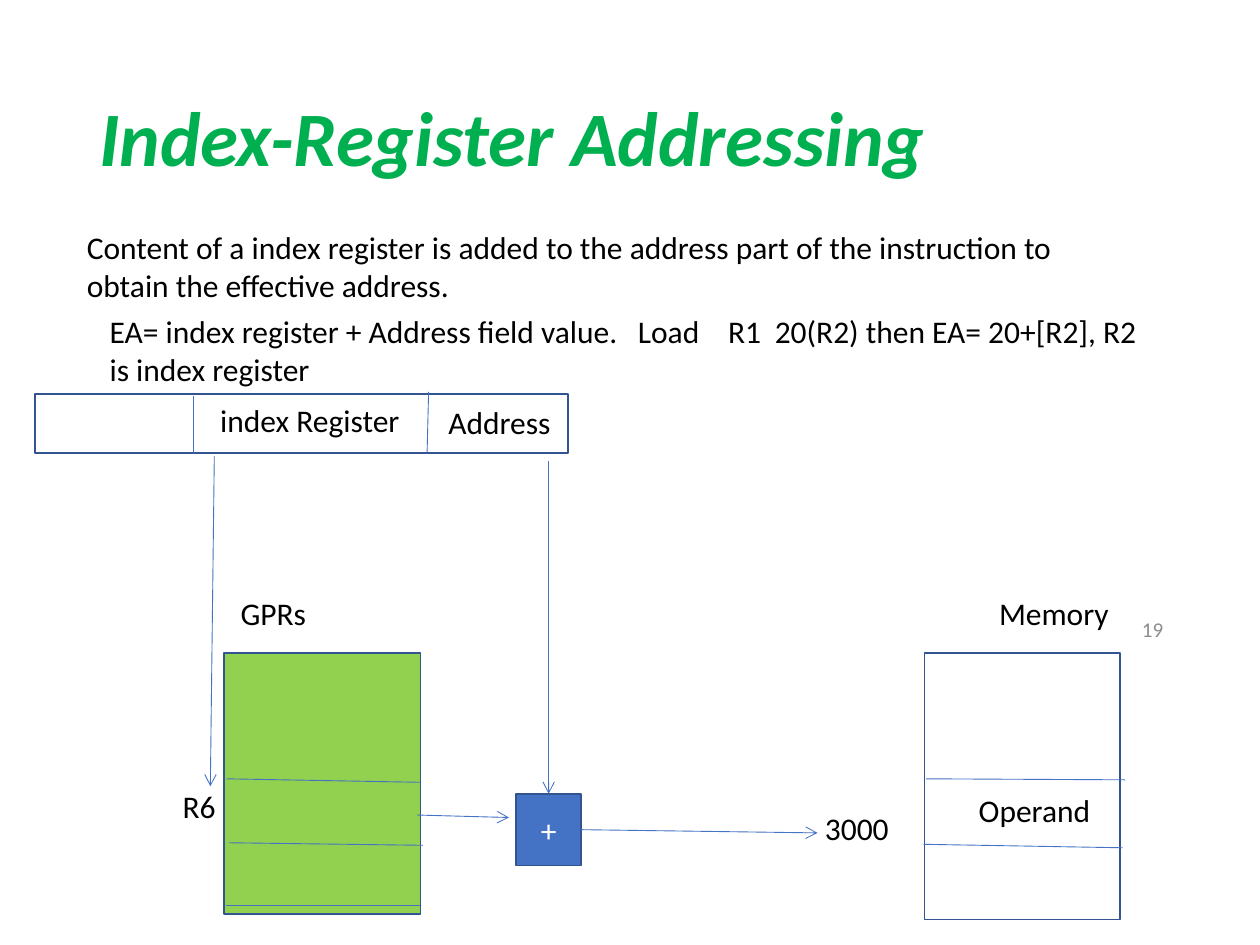
import pptx
import pptx.dml.color
import pptx.enum.shapes
import pptx.enum.text
import pptx.oxml.ns
import pptx.util
from lxml import etree
from pptx.util import Cm

COLORS = {
    "title": "00B050", "text": "000000", "number": "8C8C8C", "white": "FFFFFF",
    "registers": "92D050", "adder": "4472C4", "outline": "325491", "line": "4472C4",
}
ALIGN = pptx.enum.text.PP_ALIGN
ANCHOR = pptx.enum.text.MSO_ANCHOR
TOP_SIDE, RIGHT_SIDE = 0, 3


def rgb(name):
    return pptx.dml.color.RGBColor.from_string(COLORS[name])


def sub(parent, tag, **attributes):
    return etree.SubElement(parent, pptx.oxml.ns.qn(tag), **attributes)


class Diagram:
    font = "Calibri"

    def __init__(self, slide):
        self.slide = slide

    def add_words(self, frame, words, size=18, color="text", align=ALIGN.LEFT,
                  anchor=ANCHOR.TOP, bold=False, italic=False, tabs=()):
        frame.vertical_anchor = anchor
        paragraph = frame.paragraphs[0]
        paragraph.alignment = align
        if tabs:
            stops = sub(paragraph._p.get_or_add_pPr(), "a:tabLst")
            for stop in tabs:
                sub(stops, "a:tab", pos=str(Cm(stop)), algn="l")
        run = paragraph.add_run()
        run.text = words
        run.font.name = self.font
        run.font.size = pptx.util.Pt(size)
        run.font.bold, run.font.italic = bold, italic
        run.font.color.rgb = rgb(color)
        return paragraph

    def text(self, words, left, top, width, height=1.02, wrap=True, **style):
        box = self.slide.shapes.add_textbox(Cm(left), Cm(top), Cm(width), Cm(height))
        box.text_frame.word_wrap = wrap
        return self.add_words(box.text_frame, words, **style)

    def rect(self, left, top, width, height, fill="white"):
        box = self.slide.shapes.add_shape(
            pptx.enum.shapes.MSO_SHAPE.RECTANGLE,
            Cm(left), Cm(top), Cm(width), Cm(height))
        box.shadow.inherit = False
        box.fill.solid()
        box.fill.fore_color.rgb = rgb(fill)
        box.line.color.rgb = rgb("outline")
        box.line.width = pptx.util.Pt(1)
        return box

    def line(self, x1, y1, x2, y2, arrow=False):
        connector = self.slide.shapes.add_connector(
            pptx.enum.shapes.MSO_CONNECTOR.STRAIGHT, Cm(x1), Cm(y1), Cm(x2), Cm(y2))
        connector.line.color.rgb = rgb("line")
        connector.line.width = pptx.util.Pt(0.5)
        properties = connector._element.spPr
        if arrow:
            sub(properties.get_or_add_ln(), "a:tailEnd", type="arrow")
        sub(properties, "a:effectLst")
        return connector


def main():
    deck = pptx.Presentation()
    deck.slide_width, deck.slide_height = Cm(25.4), Cm(19.05)
    diagram = Diagram(deck.slides.add_slide(deck.slide_layouts[6]))

    # Title, slide number and explanation
    title = diagram.text("Index-Register Addressing", 1.75, 1.02, 21.89, 3.68, size=44,
                         color="title", anchor=ANCHOR.MIDDLE, bold=True, italic=True)
    title.line_spacing = 0.9
    diagram.text("19", 17.98, 12.17, 5.72, size=12, color="number",
                 align=ALIGN.RIGHT, anchor=ANCHOR.MIDDLE)
    diagram.text("Content of a index register is added to the address part of the "
                 "instruction to obtain the effective address.", 1.5, 4.47, 21.69, 1.8)
    diagram.text("EA= index register + Address field value.\tLoad\tR1\t20(R2) then "
                 "EA= 20+[R2], R2 is index register", 1.96, 6.17, 21.69, 1.8,
                 tabs=(10.65, 12.47, 13.41))

    # Instruction word, registers, memory and adder
    diagram.rect(0.71, 7.95, 10.74, 1.19)
    diagram.rect(4.52, 13.16, 3.96, 5.26, "registers")
    diagram.rect(18.64, 13.16, 3.94, 5.38)
    adder = diagram.rect(10.41, 16, 1.3, 1.45, "adder")
    diagram.add_words(adder.text_frame, "+", color="white", align=ALIGN.CENTER,
                      anchor=ANCHOR.MIDDLE)

    # Dividers of the instruction, registers and memory
    for ends in (
        (3.89, 7.98, 3.89, 9.14), (8.64, 7.9, 8.61, 9.12),
        (4.57, 15.7, 8.48, 15.77), (4.62, 16.99, 8.53, 17.04), (4.55, 18.26, 8.46, 18.26),
        (18.67, 15.7, 22.68, 15.72), (18.62, 17.02, 22.63, 17.09),
    ):
        diagram.line(*ends)

    # Data flow
    diagram.line(4.32, 9.19, 4.24, 15.85, arrow=True)
    diagram.line(8.41, 16.43, 10.26, 16.48, arrow=True)
    address_flow = diagram.line(11.06, 9.3, 11.06, 16, arrow=True)
    address_flow.end_connect(adder, TOP_SIDE)
    sum_flow = diagram.line(11.71, 16.72, 16.48, 16.79, arrow=True)
    sum_flow.begin_connect(adder, RIGHT_SIDE)

    # Labels
    for words, left, top, width in (
        ("index Register", 4.19, 7.95, 4.17), ("Address", 8.79, 8, 2.72),
        ("GPRs", 4.6, 11.86, 1.85), ("R6", 3.43, 15.75, 1.19),
        ("Memory", 19.89, 11.86, 2.9), ("Operand", 19.48, 15.82, 2.79),
        ("3000", 16.38, 16.18, 1.96),
    ):
        diagram.text(words, left, top, width, wrap=False)

    deck.save("out.pptx")


if __name__ == "__main__":
    main()
